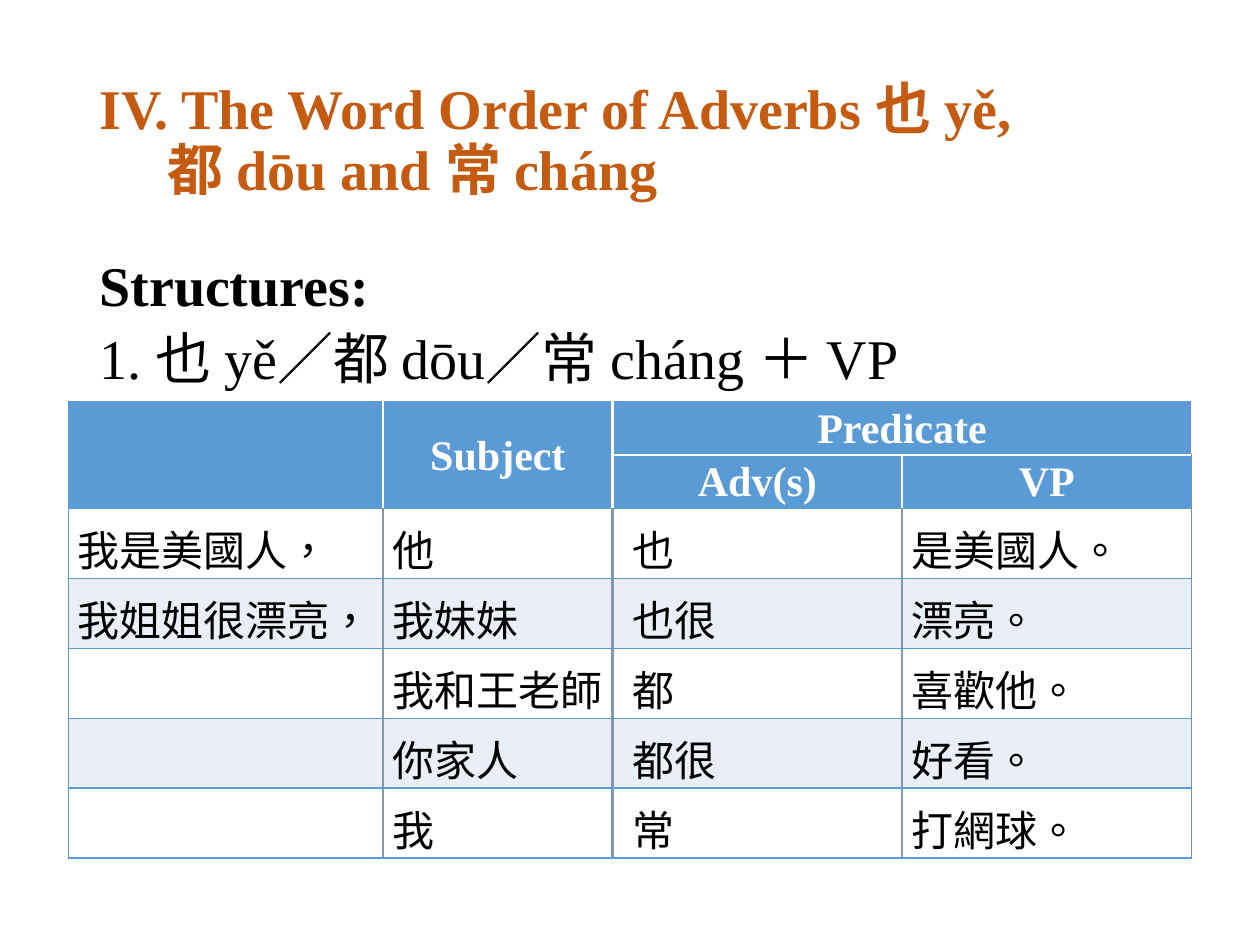
import pptx
import pptx.dml.color
import pptx.enum.lang
import pptx.enum.text
import pptx.oxml
import pptx.util

Pt = pptx.util.Pt
ALIGN = pptx.enum.text.PP_ALIGN
MIDDLE = pptx.enum.text.MSO_ANCHOR.MIDDLE
CHINESE = pptx.enum.lang.MSO_LANGUAGE_ID.TRADITIONAL_CHINESE
BLUE, SLATE, PALE = "5B9BD5", "8497B0", "EAEFF7"
WHITE, BLACK, ORANGE = "FFFFFF", "000000", "C55A11"
HEADER_HEIGHT, SENTENCE_HEIGHT = 30.5, 40

HEADERS = [["", "Subject", "Predicate", ""], ["", "", "Adv(s)", "VP"]]
SENTENCES = [
    ["我是美國人，", "他", "也", "是美國人。"],
    ["我姐姐很漂亮，", "我妹妹", "也很", "漂亮。"],
    ["", "我和王老師", "都", "喜歡他。"],
    ["", "你家人", "都很", "好看。"],
    ["", "我", "常", "打網球。"],
]


def rgb(value):
    return pptx.dml.color.RGBColor.from_string(value)


def add_run(paragraph, text, size, color, bold):
    run = paragraph.add_run()
    run.text = text
    run.font.name = "Times New Roman"
    run.font.size = Pt(size)
    run.font.bold = bold
    run.font.color.rgb = rgb(color)
    run.font.language_id = CHINESE


def set_indent(paragraph, left, first):
    properties = paragraph._p.get_or_add_pPr()
    properties.set("marL", str(Pt(left)))
    properties.set("indent", str(Pt(first)))


def add_text_frame(slide, box):
    frame = slide.shapes.add_textbox(*map(Pt, box)).text_frame
    frame.word_wrap = True
    return frame


def add_title(slide, box):
    frame = add_text_frame(slide, box)
    frame.vertical_anchor = MIDDLE
    heading = frame.paragraphs[0]
    heading.line_spacing = 0.9
    set_indent(heading, 39, -39)
    add_run(heading, "IV. The Word Order of Adverbs 也 yě,", 32, ORANGE, True)
    heading.add_line_break()
    add_run(heading, "都 dōu and 常 cháng", 32, ORANGE, True)


def add_structures(slide, box):
    frame = add_text_frame(slide, box)
    label = frame.paragraphs[0]
    formula = frame.add_paragraph()
    formula.space_before = Pt(7.5)
    label.line_spacing = formula.line_spacing = 0.9
    add_run(label, "Structures:", 32, BLACK, True)
    add_run(formula, "1. 也 yě／都 dōu／常 cháng ＋ VP", 32, BLACK, False)


def add_border(cell, side, color, width):
    line = pptx.oxml.parse_xml(
        '<a:%s xmlns:a="http://schemas.openxmlformats.org/drawingml/2006/main" w="%d">'
        '<a:solidFill><a:srgbClr val="%s"/></a:solidFill></a:%s>'
        % (side, Pt(width), color, side))
    cell._tc.get_or_add_tcPr().append(line)


def column_edge(row, edge, last):
    if edge in (0, last):
        return BLUE, 1
    return (WHITE if row < len(HEADERS) else SLATE), 1.5


def row_edge(edge, column):
    return (WHITE, 1.5) if edge == 1 and column >= 2 else (BLUE, 1)


def fill_cell(cell, text, row, column):
    is_header = row < len(HEADERS)
    cell.vertical_anchor = MIDDLE
    cell.margin_left = cell.margin_right = Pt(5.4)
    cell.margin_top = cell.margin_bottom = 0
    add_border(cell, "lnL", *column_edge(row, column, 4))
    add_border(cell, "lnR", *column_edge(row, column + 1, 4))
    add_border(cell, "lnT", *row_edge(row, column))
    add_border(cell, "lnB", *row_edge(row + 1, column))
    cell.fill.solid()
    cell.fill.fore_color.rgb = rgb(BLUE if is_header else PALE if row % 2 else WHITE)
    if text:
        paragraph = cell.text_frame.paragraphs[0]
        paragraph.alignment = ALIGN.CENTER if is_header else ALIGN.JUSTIFY
        paragraph.line_spacing = 1.05 if is_header else 1.15
        if column == 2 and not is_header:
            set_indent(paragraph, 0, 6.25)
        add_run(paragraph, text, 24, WHITE if is_header else BLACK, is_header)


def add_sentence_table(slide, box):
    rows = HEADERS + SENTENCES
    table = slide.shapes.add_table(len(rows), 4, *map(Pt, box)).table
    for column, width in zip(table.columns, (180, 131, 165.5, 165.5)):
        column.width = Pt(width)
    for row, texts in enumerate(rows):
        table.rows[row].height = Pt(HEADER_HEIGHT if row < len(HEADERS) else SENTENCE_HEIGHT)
        for column, text in enumerate(texts):
            fill_cell(table.cell(row, column), text, row, column)
    for column in (0, 1):
        table.cell(0, column).merge(table.cell(1, column))
    table.cell(0, 2).merge(table.cell(0, 3))


def main():
    presentation = pptx.Presentation()
    presentation.slide_width, presentation.slide_height = Pt(720), Pt(540)
    slide = presentation.slides.add_slide(presentation.slide_layouts[6])
    add_title(slide, (49.75, 28.75, 621, 104.4))
    add_structures(slide, (49.75, 143.75, 621, 342.6))
    add_sentence_table(slide, (39, 229.5, 642, 261))
    presentation.save("out.pptx")


if __name__ == "__main__":
    main()
